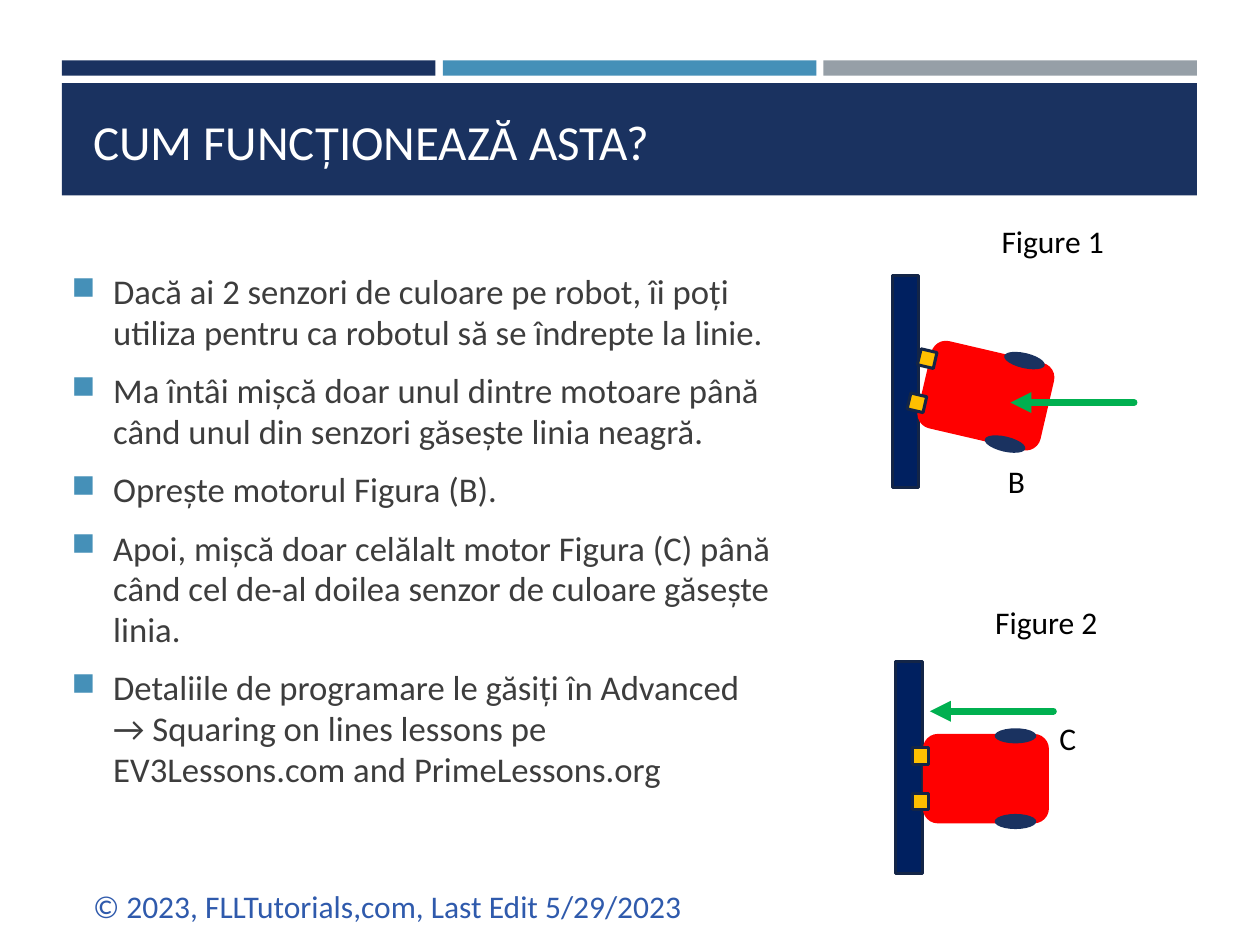
from dataclasses import dataclass
from math import cos, radians, sin

from lxml.etree import SubElement
from pptx import Presentation
from pptx.dml.color import RGBColor
from pptx.enum.shapes import MSO_CONNECTOR, MSO_SHAPE
from pptx.enum.text import MSO_ANCHOR, PP_ALIGN
from pptx.oxml.ns import qn
from pptx.util import Inches, Pt

NAVY, BLUE, GRAY, WHITE, BLACK = "1A3260", "4590B8", "969FA7", "FFFFFF", "000000"
RED, GOLD, GREEN, WALL, EDGE = "FF0000", "FFC000", "00B050", "002060", "132547"
INK, LINK = "3D3D3D", "2F5AAC"


@dataclass
class Part:
    """A robot part; dx and dy run from the robot's centre to the part's."""
    kind: MSO_SHAPE
    dx: float
    dy: float
    w: float
    h: float
    fill: str
    edge: str = ""


@dataclass
class Scene:
    """A wall line, a robot against it, the pushing arrow and two labels."""
    wall: tuple[float, float]
    robot: tuple[float, float]
    turn: float
    arrow: tuple[float, float]
    name: str
    name_at: tuple[float, float]
    motor: str
    motor_at: tuple[float, float]


ROBOT = [
    Part(MSO_SHAPE.ROUNDED_RECTANGLE, 0, 0, 1, 0.71, RED),
    *[Part(MSO_SHAPE.OVAL, 0.235, y, 0.33, 0.12, NAVY) for y in (0.34, -0.34)],
    *[Part(MSO_SHAPE.RECTANGLE, -0.52, y, 0.13, 0.13, GOLD, EDGE) for y in (0.18, -0.18)],
]
SCENES = [
    Scene((7.08, 2.19), (7.825, 3.14), 13.1, (8.02, 3.195),
          "Figure 1", (7.79, 1.71), "B", (7.9, 3.62)),
    Scene((7.11, 5.25), (7.825, 6.18), 0, (7.38, 5.645),
          "Figure 2", (7.74, 4.74), "C", (8.31, 5.66)),
]
BANDS = [(0.49, NAVY), (3.515, BLUE), (6.535, GRAY)]
POINTS = [
    "Dacă ai 2 senzori de culoare pe robot, îi poți utiliza pentru ca robotul să se îndrepte la linie.",
    "Ma întâi mișcă doar unul dintre motoare până când unul din senzori găsește linia neagră.",
    "Oprește motorul Figura (B).",
    "Apoi, mișcă doar celălalt motor Figura (C) până când cel de-al doilea senzor de culoare găsește linia.",
    "Detaliile de programare le găsiți în Advanced → Squaring on lines lessons pe "
    "EV3Lessons.com and PrimeLessons.org",
]


def color(code: str) -> RGBColor:
    return RGBColor.from_string(code)


def add_part(slide, kind, x: float, y: float, w: float, h: float,
             fill: str, edge: str = "", turn: float = 0) -> None:
    shape = slide.shapes.add_shape(kind, Inches(x), Inches(y), Inches(w), Inches(h))
    shape.shadow.inherit = False
    shape.rotation = turn
    shape.fill.solid()
    shape.fill.fore_color.rgb = color(fill)
    if edge:
        shape.line.color.rgb = color(edge)
        shape.line.width = Pt(1.75)
    else:
        shape.line.fill.background()


def add_text(slide, x: float, y: float, w: float, h: float, lines: list[str],
             size: float, ink: str, anchor=MSO_ANCHOR.TOP, bullet: bool = False, **form) -> None:
    """Write one paragraph per line; form holds paragraph format values."""
    frame = slide.shapes.add_textbox(Inches(x), Inches(y), Inches(w), Inches(h)).text_frame
    frame.word_wrap = True
    frame.vertical_anchor = anchor
    for i, line in enumerate(lines):
        para = frame.paragraphs[0] if i == 0 else frame.add_paragraph()
        para.text = line
        for key, value in form.items():
            if i or key != "space_before":
                setattr(para, key, value)
        if bullet:
            add_bullet(para)
        for key, value in {"name": "Calibri", "size": Pt(size)}.items():
            setattr(para.font, key, value)
        para.font.color.rgb = color(ink)


def add_bullet(para) -> None:
    props = para._p.get_or_add_pPr()
    props.set("marL", str(Inches(0.33)))
    props.set("indent", str(-Inches(0.33)))
    tint = SubElement(props, qn("a:buClr"))
    SubElement(tint, qn("a:srgbClr"), val=BLUE)
    SubElement(props, qn("a:buSzPct"), val="92000")
    SubElement(props, qn("a:buChar"), char="■")


def add_arrow(slide, x: float, y: float) -> None:
    """Draw a level arrow whose tip, on the left, is at x, y."""
    arrow = slide.shapes.add_connector(
        MSO_CONNECTOR.STRAIGHT, Inches(x + 0.98), Inches(y), Inches(x), Inches(y))
    arrow.line.color.rgb = color(GREEN)
    arrow.line.width = Pt(4)
    line = arrow.line._get_or_add_ln()
    line.set("cap", "rnd")
    SubElement(line, qn("a:round"))
    SubElement(line, qn("a:tailEnd"), type="triangle")
    SubElement(arrow._element.spPr, qn("a:effectLst"))


def add_robot(slide, x: float, y: float, turn: float) -> None:
    """Draw the robot centred at x, y, turned clockwise by turn degrees."""
    c, s = cos(radians(turn)), sin(radians(turn))
    for part in ROBOT:
        left = x + part.dx * c - part.dy * s - part.w / 2
        top = y + part.dx * s + part.dy * c - part.h / 2
        add_part(slide, part.kind, left, top, part.w, part.h, part.fill, part.edge, turn)


def add_scene(slide, scene: Scene) -> None:
    add_part(slide, MSO_SHAPE.RECTANGLE, *scene.wall, 0.21, 1.68, WALL, EDGE)
    add_text(slide, *scene.name_at, 1.13, 0.4, [scene.name], 18, BLACK,
             alignment=PP_ALIGN.CENTER)
    add_robot(slide, *scene.robot, scene.turn)
    add_text(slide, *scene.motor_at, 0.25, 0.4, [scene.motor], 18, BLACK)
    add_arrow(slide, *scene.arrow)


def main() -> None:
    deck = Presentation()
    deck.slide_width, deck.slide_height = Inches(10), Inches(7.5)
    slide = deck.slides.add_slide(deck.slide_layouts[6])
    for x, fill in BANDS:
        add_part(slide, MSO_SHAPE.RECTANGLE, x, 0.48, 2.965, 0.12, fill)
    add_part(slide, MSO_SHAPE.RECTANGLE, 0.49, 0.66, 9.01, 0.89, NAVY)
    add_text(slide, 0.64, 0.75, 8.74, 0.65, ["CUM FUNCȚIONEAZĂ ASTA?"], 28, WHITE,
             MSO_ANCHOR.BOTTOM)
    add_text(slide, 0.47, 2.11, 5.78, 4.76, POINTS, 19.8, INK, bullet=True,
             space_before=Pt(4), space_after=Pt(6), line_spacing=0.98)
    add_text(slide, 0.64, 6.99, 5.33, 0.4,
             ["© 2023, FLLTutorials,com, Last Edit 5/29/2023"], 18, LINK)
    for scene in SCENES:
        add_scene(slide, scene)
    deck.save("out.pptx")


if __name__ == "__main__":
    main()
